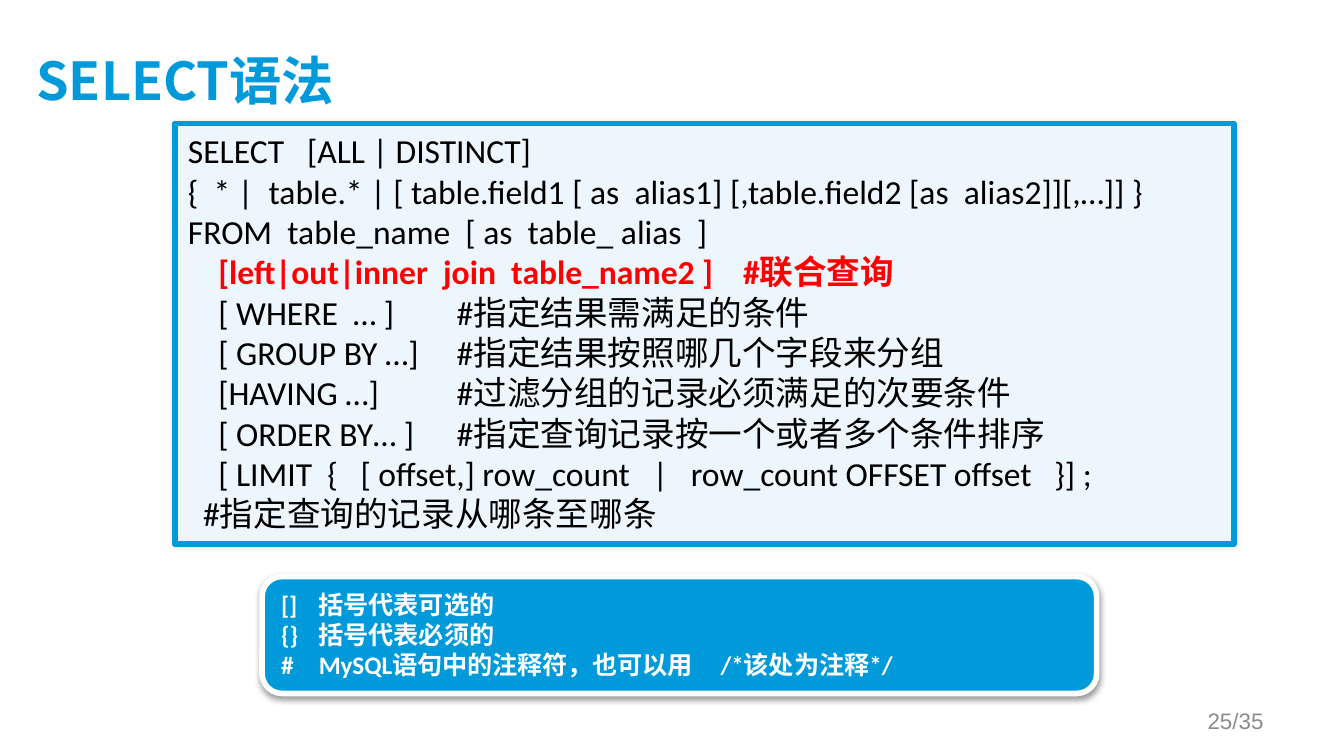
from dataclasses import dataclass

from lxml import etree
from pptx import Presentation
from pptx.dml.color import RGBColor
from pptx.enum.shapes import MSO_SHAPE
from pptx.enum.text import MSO_ANCHOR, PP_ALIGN
from pptx.oxml.ns import qn
from pptx.util import Inches, Pt

ROUND = MSO_SHAPE.ROUNDED_RECTANGLE
CALLOUT = MSO_SHAPE.ROUNDED_RECTANGULAR_CALLOUT
TOP, MIDDLE = MSO_ANCHOR.TOP, MSO_ANCHOR.MIDDLE
LEFT, RIGHT = PP_ALIGN.LEFT, PP_ALIGN.RIGHT
HAN = "Noto Sans CJK SC"
BLUE, RED, BLACK, WHITE = "0099D9", "FF0000", "000000", "FFFFFF"
WIDE = Inches(10)


@dataclass
class Shadow:
    alpha: int
    blur: float
    dist: float
    angle: int


@dataclass
class Panel:
    kind: int
    area: tuple
    adjust: tuple
    fill: str
    line: str
    shadow: Shadow


CODE = Panel(ROUND, (1.3, 0.92, 7.88, 3.13), (0,),
             "EDF5FD", BLUE, Shadow(10, 3, 0, 0))
NOTE = Panel(CALLOUT, (1.95, 4.29, 6.21, 0.87), (-0.5, 0, 0.17),
             BLUE, WHITE, Shadow(38, 3.1, 1.6, 90))

JOIN = "    [left|out|inner  join  table_name2 ]\t#联合查询"
QUERY = [
    "SELECT   [ALL | DISTINCT]",
    "{  * |  table.* | [ table.field1 [ as  alias1] [,table.field2 [as  alias2]][,…]] }",
    "FROM  table_name  [ as  table_ alias  ]",
    JOIN,
    "    [ WHERE  … ]\t#指定结果需满足的条件",
    "    [ GROUP BY …]\t#指定结果按照哪几个字段来分组",
    "    [HAVING …]\t#过滤分组的记录必须满足的次要条件",
    "    [ ORDER BY… ]\t#指定查询记录按一个或者多个条件排序",
    "    [ LIMIT  {   [ offset,] row_count   |   row_count OFFSET offset   }] ;",
    "  #指定查询的记录从哪条至哪条",
]
LEGEND = [
    "[]\t括号代表可选的",
    "{}\t括号代表必须的",
    "#\tMySQL语句中的注释符，也可以用\t/*该处为注释*/",
]


def color(code: str) -> RGBColor:
    return RGBColor.from_string(code)


def write(frame, lines, *, size, ink, font="Calibri", bold=False, align=LEFT,
          anchor=TOP, tabs=(), marks=()):
    frame.word_wrap = True
    frame.vertical_anchor = anchor
    for index, line in enumerate(lines):
        para = frame.paragraphs[0] if index == 0 else frame.add_paragraph()
        para.alignment = align
        if tabs:
            stops = etree.SubElement(para._p.get_or_add_pPr(), qn("a:tabLst"))
            for stop in tabs:
                etree.SubElement(stops, qn("a:tab"), pos=str(Inches(stop)), algn="l")
        run = para.add_run()
        run.text = line
        run.font.size = Pt(size)
        run.font.name = font
        run.font.bold = bold or line in marks
        run.font.color.rgb = color(RED if line in marks else ink)
        etree.SubElement(run._r.get_or_add_rPr(), qn("a:ea"), typeface=HAN)


def label(slide, area: tuple):
    return slide.shapes.add_textbox(*map(Inches, area)).text_frame


def draw(slide, panel: Panel):
    shape = slide.shapes.add_shape(panel.kind, *map(Inches, panel.area))
    for index, value in enumerate(panel.adjust):
        shape.adjustments[index] = value
    shape.fill.solid()
    shape.fill.fore_color.rgb = color(panel.fill)
    shape.line.color.rgb = color(panel.line)
    shape.line.width = Pt(3)
    shape.shadow.inherit = False
    cast = panel.shadow
    effects = shape._element.spPr.find(qn("a:effectLst"))
    outer = etree.SubElement(
        effects, qn("a:outerShdw"), blurRad=str(Pt(cast.blur)),
        dist=str(Pt(cast.dist)), dir=str(cast.angle * 60000), rotWithShape="0")
    tint = etree.SubElement(outer, qn("a:srgbClr"), val=BLACK)
    etree.SubElement(tint, qn("a:alpha"), val=str(cast.alpha * 1000))
    return shape.text_frame


def main():
    deck = Presentation()
    deck.slide_width, deck.slide_height = WIDE, WIDE * 9 // 16
    slide = deck.slides.add_slide(deck.slide_layouts[6])

    title = label(slide, (0.27, 0.23, 8.95, 0.77))
    title.margin_left = title.margin_top = 0
    write(title, ["SELECT语法"], size=28, ink=BLUE, font=HAN, bold=True, anchor=MIDDLE)

    write(draw(slide, CODE), QUERY, size=18, ink=BLACK, tabs=(2, 4.13), marks=(JOIN,))
    write(draw(slide, NOTE), LEGEND, size=13.5, ink=WHITE, bold=True, tabs=(0.28, 3.27))
    write(label(slide, (7.17, 5.21, 2.33, 0.3)), ["25/35"], size=12, ink="8C8C8C",
          font="Arial", align=RIGHT, anchor=MIDDLE)
    deck.save("out.pptx")


if __name__ == "__main__":
    main()
